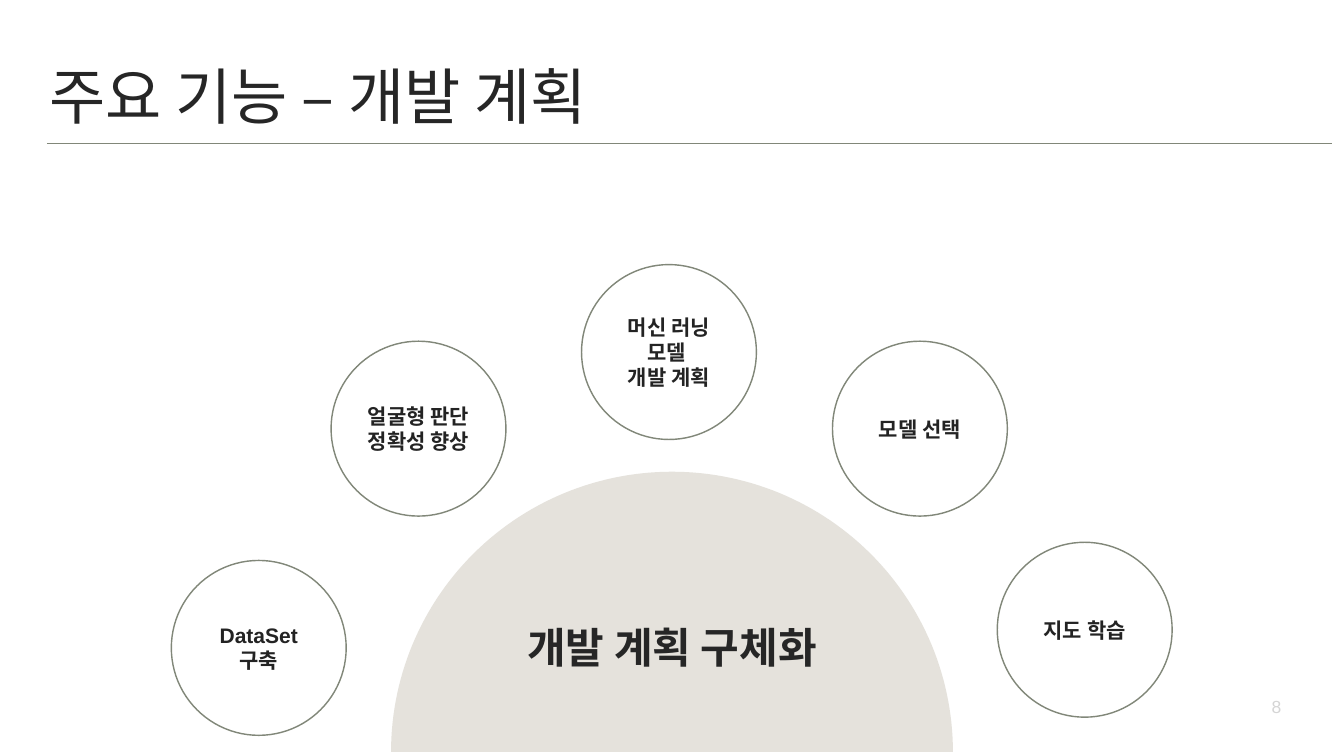
from math import cos, pi, sin

from lxml import etree
from pptx import Presentation
from pptx.dml.color import RGBColor
from pptx.enum.shapes import MSO_CONNECTOR, MSO_SHAPE
from pptx.enum.text import MSO_ANCHOR, PP_ALIGN
from pptx.oxml.ns import qn
from pptx.util import Inches, Pt

STRAIGHT = MSO_CONNECTOR.STRAIGHT
OVAL = MSO_SHAPE.OVAL
TOP, MIDDLE = MSO_ANCHOR.TOP, MSO_ANCHOR.MIDDLE
LEFT, CENTER = PP_ALIGN.LEFT, PP_ALIGN.CENTER

WHITE = RGBColor(0xFF, 0xFF, 0xFF)
INK = RGBColor(0x26, 0x26, 0x26)
STEP_INK = RGBColor(0x23, 0x23, 0x23)
OLIVE = RGBColor(0x81, 0x87, 0x79)
SAND = RGBColor(0xE5, 0xE2, 0xDC)
PALE = RGBColor(0xD5, 0xD5, 0xD5)

LATIN_FONT = "Arial"
KOREAN_FONT = "Noto Sans CJK KR"

STEP_SIZE = 3.47
STEPS = [
    ("DataSet 구축", 3.4, 11.12),
    ("얼굴형 판단\n정확성 향상", 6.57, 6.77),
    ("머신 러닝 모델 \v개발 계획", 11.54, 5.25),
    ("모델 선택", 16.52, 6.77),
    ("지도 학습", 19.79, 10.76),
]


def write_text(shape, text, size, color, font=LATIN_FONT, bold=False, align=CENTER,
               anchor=TOP, inset=0.06, wrap=True):
    """Fill a shape with formatted Latin and Korean text."""
    frame = shape.text_frame
    frame.text = text
    frame.word_wrap = wrap
    frame.vertical_anchor = anchor
    frame.margin_left = frame.margin_right = Inches(inset)
    frame.margin_top = frame.margin_bottom = Inches(inset)
    for paragraph in frame.paragraphs:
        paragraph.alignment = align
        paragraph.line_spacing = 1.0
        for run in paragraph.runs:
            run.font.size = Pt(size)
            run.font.bold = bold
            run.font.name = font
            run.font.color.rgb = color
            east_asian = etree.SubElement(run.font._element, qn("a:ea"))
            east_asian.set("typeface", KOREAN_FONT)


def add_header(slide, left, top, width, height):
    """Place the title and the rule beneath it."""
    title = slide.shapes.title
    title.left, title.top = Inches(left), Inches(top)
    title.width, title.height = Inches(width), Inches(height)
    write_text(title, "주요 기능 – 개발 계획", 87.3, INK, font=KOREAN_FONT, align=LEFT)
    rule_top = Inches(top + 1.76)
    rule = slide.shapes.add_connector(
        STRAIGHT, Inches(left + 0.01), rule_top, Inches(left + 25.51), rule_top)
    rule.line.color.rgb = OLIVE
    rule.line.width = Pt(2)
    etree.SubElement(rule._element.spPr, qn("a:effectLst"))


def add_dome(slide, left, top, width, height):
    """Place the half disc and its label."""
    radius, segments = width / 2, 120
    points = [
        (Inches(left + radius - radius * cos(pi * step / segments)),
         Inches(top + height - height * sin(pi * step / segments)))
        for step in range(segments + 1)
    ]
    builder = slide.shapes.build_freeform(*points[0])
    builder.add_line_segments(points[1:], close=True)
    dome = builder.convert_to_shape()
    dome.shadow.inherit = False
    dome.fill.solid()
    dome.fill.fore_color.rgb = SAND
    dome.line.fill.background()
    label = slide.shapes.add_textbox(
        Inches(left + 2.46), Inches(top + 2.91), Inches(6.23), Inches(1.19))
    write_text(label, "개발 계획 구체화", 60, INK, bold=True)


def add_step(slide, text, left, top, size):
    """Place one outlined circle of the plan."""
    circle = slide.shapes.add_shape(
        OVAL, Inches(left), Inches(top), Inches(size), Inches(size))
    circle.shadow.inherit = False
    circle.fill.solid()
    circle.fill.fore_color.rgb = WHITE
    circle.line.color.rgb = OLIVE
    circle.line.width = Pt(2)
    write_text(circle, text, 30, STEP_INK, bold=True, anchor=MIDDLE, inset=0.09)


def add_page_number(slide, left, top, width, height):
    """Place the page number low in its box."""
    number = slide.shapes.add_textbox(
        Inches(left), Inches(top), Inches(width), Inches(height))
    write_text(number, "8", 25, PALE, wrap=False)
    number.text_frame.margin_top = Inches(0.2)


def main():
    """Build the development plan slide."""
    presentation = Presentation()
    presentation.slide_width, presentation.slide_height = Inches(26.67), Inches(15)
    slide = presentation.slides.add_slide(presentation.slide_layouts[5])
    add_page_number(slide, 25.17, 13.6, 0.32, 0.53)
    add_header(slide, 0.92, 1.09, 11.94, 2.08)
    add_dome(slide, 7.76, 9.36, 11.15, 5.56)
    for text, left, top in STEPS:
        add_step(slide, text, left, top, STEP_SIZE)
    presentation.save("out.pptx")


if __name__ == "__main__":
    main()
